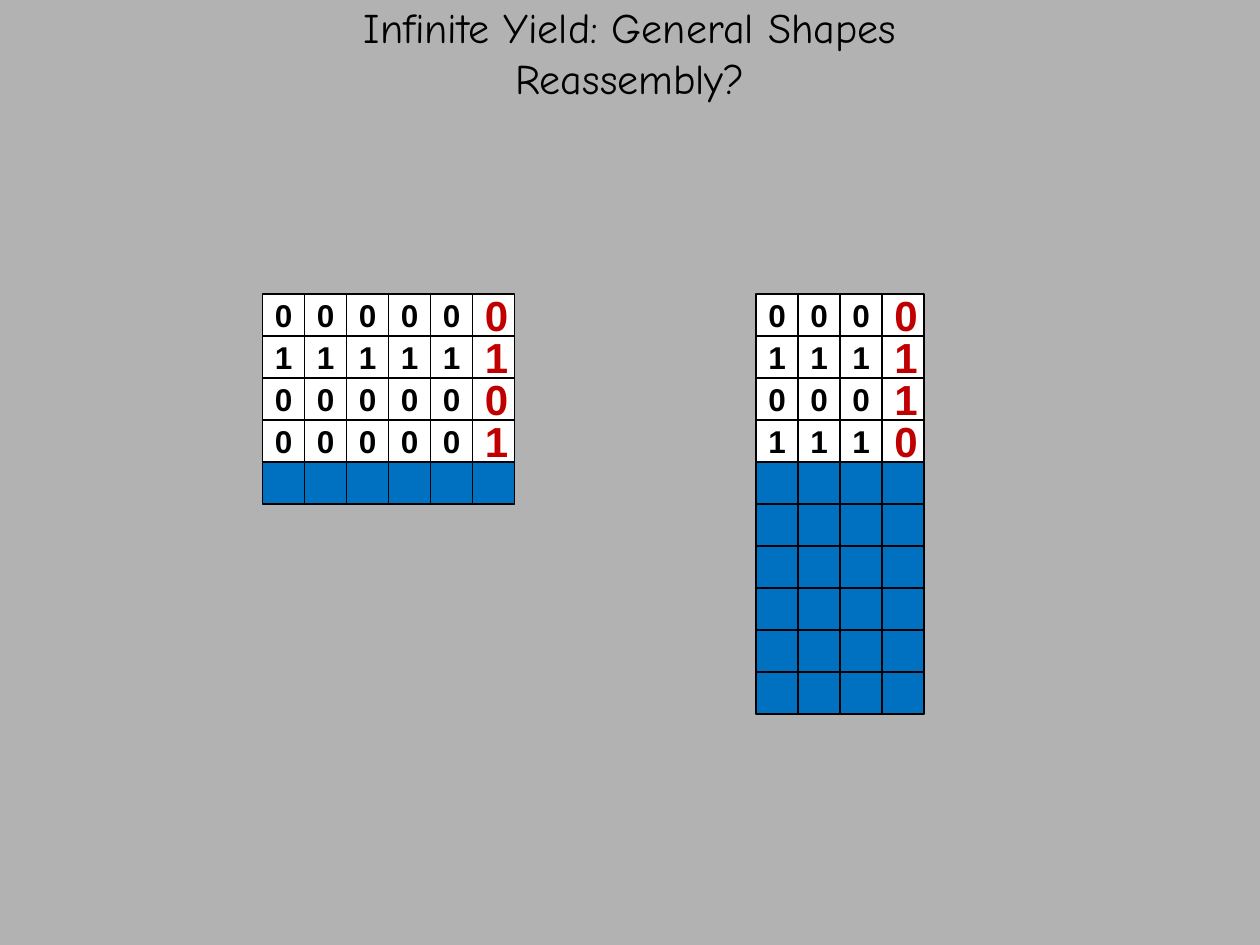
from dataclasses import dataclass

from pptx import Presentation
from pptx.dml.color import RGBColor
from pptx.enum.shapes import MSO_SHAPE
from pptx.enum.text import MSO_ANCHOR, PP_ALIGN
from pptx.util import Inches, Pt

GREY = RGBColor(0xB2, 0xB2, 0xB2)
BLUE = RGBColor(0x00, 0x70, 0xC0)
RED = RGBColor(0xC0, 0x00, 0x00)
WHITE = RGBColor(0xFF, 0xFF, 0xFF)
BLACK = RGBColor(0x00, 0x00, 0x00)
CELL = Inches(1 / 3)
GRID_TOP = Inches(7 / 3)


@dataclass(frozen=True)
class Grid:
    left: float
    bits: tuple[str, ...]
    blank_rows: int


GRIDS = (
    Grid(6, ("0000", "1111", "0001", "1110"), 6),
    Grid(2 + 1 / 12, ("000000", "111111", "000000", "000001"), 1),
)


def write(tf, *lines: str, font: str, size: float, color: RGBColor = BLACK,
          bold: bool = False, align=PP_ALIGN.LEFT) -> None:
    tf.word_wrap = True
    tf.vertical_anchor = MSO_ANCHOR.MIDDLE
    for i, line in enumerate(lines):
        p = tf.add_paragraph() if i else tf.paragraphs[0]
        p.alignment = align
        r = p.add_run()
        r.text = line
        r.font.name, r.font.size = font, Pt(size)
        r.font.bold, r.font.color.rgb = bold, color


def add_cell(s, left: int, top: int, fill: RGBColor):
    sp = s.shapes.add_shape(MSO_SHAPE.RECTANGLE, left, top, CELL, CELL)
    sp.shadow.inherit = False
    sp.fill.solid()
    sp.fill.fore_color.rgb = fill
    sp.line.color.rgb = BLACK
    sp.line.width = Pt(0.75)
    return sp


def add_grid(s, grid: Grid) -> None:
    columns = len(grid.bits[0])
    for row in range(len(grid.bits) + grid.blank_rows):
        has_bits = row < len(grid.bits)
        for col in range(columns):
            sp = add_cell(s, Inches(grid.left) + col * CELL, GRID_TOP + row * CELL,
                          WHITE if has_bits else BLUE)
            if has_bits:
                parity = col == columns - 1
                write(sp.text_frame, grid.bits[row][col], font="Arial", bold=True,
                      size=24 if parity else 18, color=RED if parity else BLACK)


def main() -> None:
    """Build the slide with two bit grids and their parity columns."""
    prs = Presentation()
    prs.slide_width, prs.slide_height = Inches(10), Inches(7.5)
    s = prs.slides.add_slide(prs.slide_layouts[6])
    s.background.fill.solid()
    s.background.fill.fore_color.rgb = GREY
    title = s.shapes.add_textbox(Inches(0), Inches(0.08), Inches(10), Inches(0.67))
    write(title.text_frame, "Infinite Yield: General Shapes", "Reassembly?",
          font="Comic Neue", size=24, align=PP_ALIGN.CENTER)
    for grid in GRIDS:
        add_grid(s, grid)
    prs.save("out.pptx")


if __name__ == "__main__":
    main()
